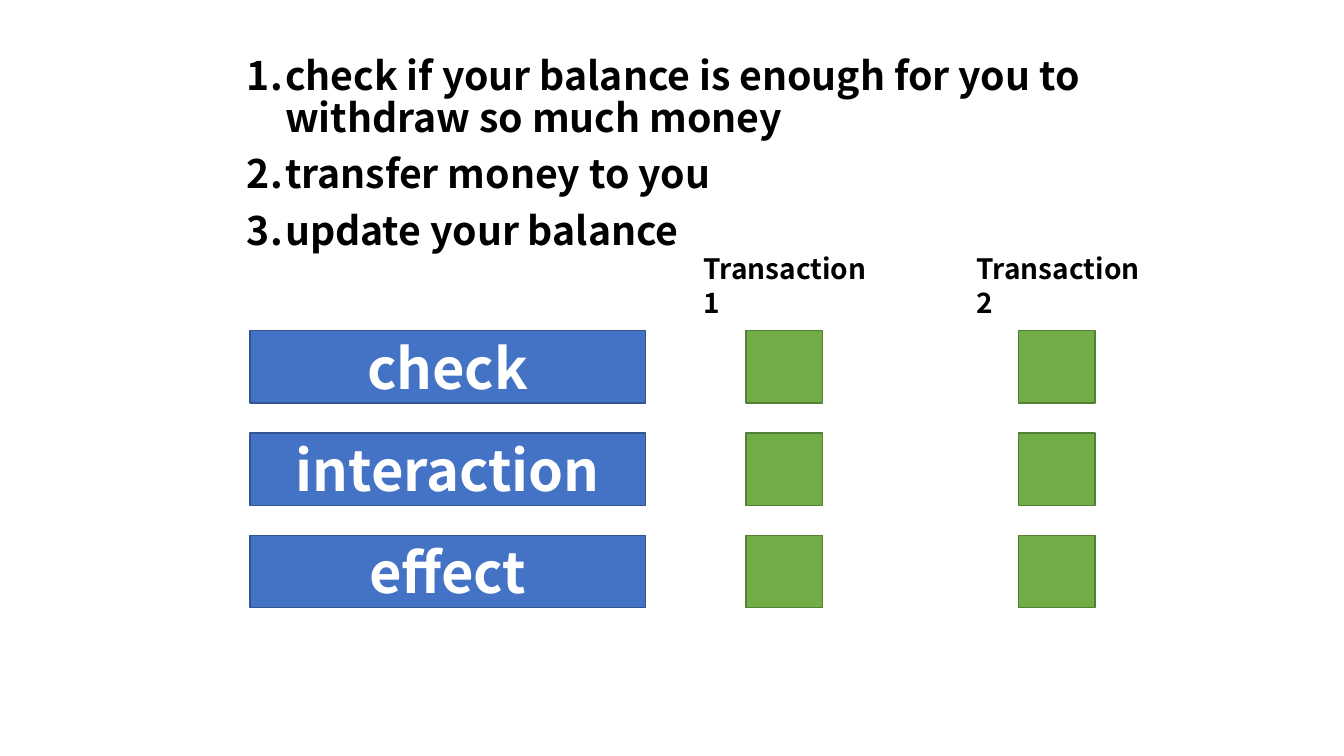
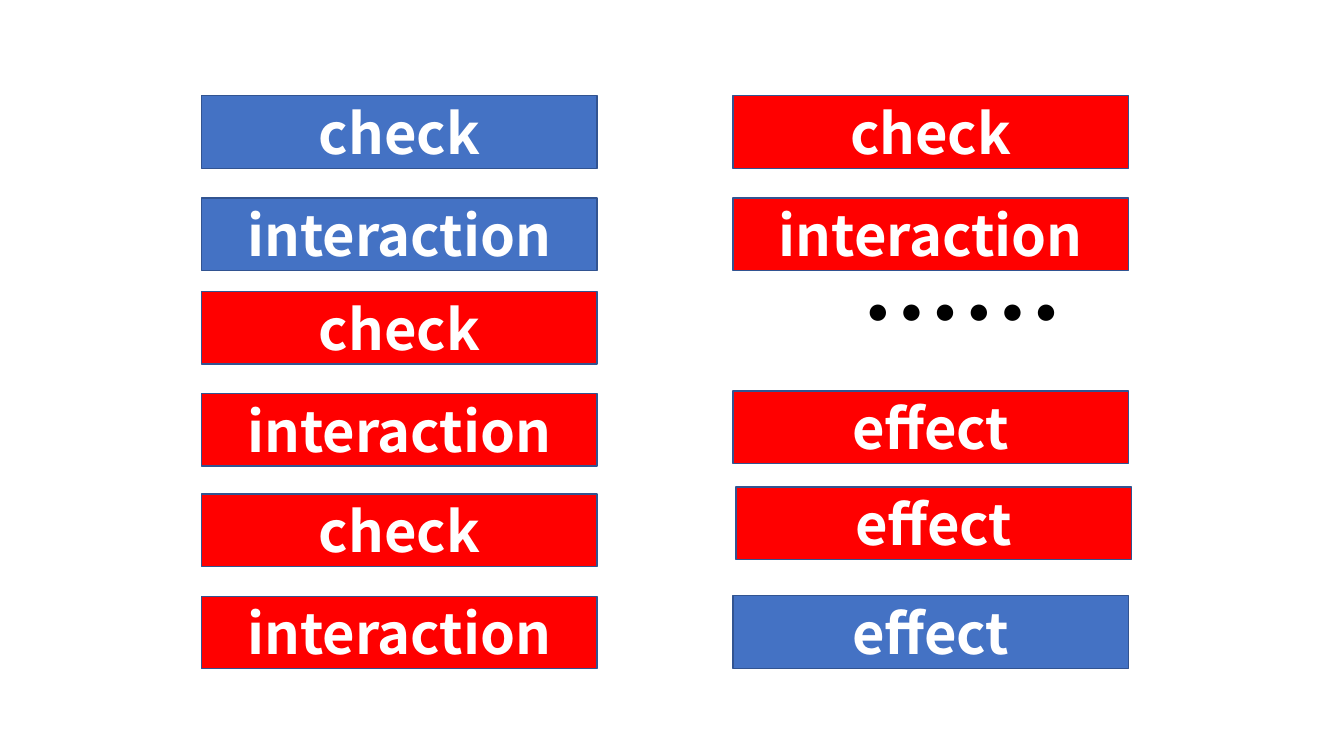
from dataclasses import dataclass
from typing import Any

from lxml.etree import SubElement
from pptx import Presentation
from pptx.dml.color import RGBColor
from pptx.enum.shapes import MSO_SHAPE
from pptx.enum.text import MSO_ANCHOR, MSO_AUTO_SIZE, PP_ALIGN
from pptx.oxml.ns import qn
from pptx.util import Inches, Pt

FONT = "Noto Sans CJK SC"
BLACK, WHITE = "000000", "FFFFFF"
BLUE, RED, NAVY = "4472C4", "FF0000", "325491"
GREEN, DARK_GREEN = "70AD47", "538035"

STEP_WIDTH, SQUARE_WIDTH, ROW_HEIGHT = 3.92, 0.76, 0.72
ROW_PITCH = 1.015
INDENT = 0.38

STEPS = ("check", "interaction", "effect")
RULES = (
    "check if your balance is enough for you to withdraw so much money",
    "transfer money to you",
    "update your balance",
)


@dataclass(frozen=True)
class Box:
    left: float
    top: float
    width: float
    height: float

    def emu(self) -> tuple:
        return tuple(Inches(v) for v in (self.left, self.top, self.width, self.height))


@dataclass(frozen=True)
class Stack:
    left: float
    top: float
    steps: tuple
    fill: str


@dataclass(frozen=True)
class Transaction:
    name: str
    label_left: float
    square_left: float


TRANSACTIONS = (
    Transaction("Transaction 1", 6.88, 7.4),
    Transaction("Transaction 2", 9.59, 10.1),
)

CALL = STEPS[:2]
RETURN = STEPS[2:]
LEFT, RIGHT = 2, 7.27
CALL_STACKS = (
    Stack(LEFT, 0.95, CALL, BLUE),
    Stack(LEFT, 2.89, CALL, RED),
    Stack(LEFT, 4.9, CALL, RED),
    Stack(RIGHT, 0.95, CALL, RED),
    Stack(RIGHT, 3.88, RETURN, RED),
    Stack(7.3, 4.83, RETURN, RED),
    Stack(RIGHT, 5.91, RETURN, BLUE),
)


def rgb(value: str) -> RGBColor:
    return RGBColor.from_string(value)


def write(p: Any, text: str, *, size: float, color: str = BLACK,
          align: PP_ALIGN = PP_ALIGN.LEFT) -> None:
    p.alignment = align
    r = p.add_run()
    r.text = text
    r.font.size = Pt(size)
    r.font.bold = True
    r.font.name = FONT
    r.font.color.rgb = rgb(color)
    SubElement(r.font._element, qn("a:ea"), typeface=FONT)


def add_rect(s: Any, box: Box, fill: str, line: str) -> Any:
    sp = s.shapes.add_shape(MSO_SHAPE.RECTANGLE, *box.emu())
    sp.shadow.inherit = False
    sp.fill.solid()
    sp.fill.fore_color.rgb = rgb(fill)
    sp.line.color.rgb = rgb(line)
    sp.line.width = Pt(1)
    return sp


def add_text_frame(s: Any, box: Box) -> Any:
    tf = s.shapes.add_textbox(*box.emu()).text_frame
    tf.word_wrap = True
    tf.auto_size = MSO_AUTO_SIZE.SHAPE_TO_FIT_TEXT
    return tf


def add_label(s: Any, box: Box, text: str, size: float) -> None:
    write(add_text_frame(s, box).paragraphs[0], text, size=size)


def add_numbered_list(s: Any, box: Box, items: tuple) -> None:
    tf = add_text_frame(s, box)
    for i, item in enumerate(items):
        p = tf.add_paragraph() if i else tf.paragraphs[0]
        pPr = p._p.get_or_add_pPr()
        pPr.set("marL", str(Inches(INDENT)))
        pPr.set("indent", str(-Inches(INDENT)))
        SubElement(pPr, qn("a:buAutoNum"), type="arabicPeriod")
        p.line_spacing = 0.9
        p.space_before = Pt(10 if i else 0)
        write(p, item, size=28)


def add_stack(s: Any, stack: Stack) -> None:
    for row, step in enumerate(stack.steps):
        box = Box(stack.left, stack.top + row * ROW_PITCH, STEP_WIDTH, ROW_HEIGHT)
        tf = add_rect(s, box, stack.fill, NAVY).text_frame
        tf.vertical_anchor = MSO_ANCHOR.MIDDLE
        write(tf.paragraphs[0], step, size=40, color=WHITE, align=PP_ALIGN.CENTER)


def build_transactions(s: Any) -> None:
    add_numbered_list(s, Box(2.35, 0.51, 8.62, 2.08), RULES)
    steps = Stack(2.48, 3.28, STEPS, BLUE)
    add_stack(s, steps)
    for tx in TRANSACTIONS:
        add_label(s, Box(tx.label_left, 2.45, 2, 0.44), tx.name, 20)
        for row in range(len(STEPS)):
            top = steps.top + row * ROW_PITCH
            add_rect(s, Box(tx.square_left, top, SQUARE_WIDTH, ROW_HEIGHT),
                     GREEN, DARK_GREEN)


def build_reentrancy(s: Any) -> None:
    for stack in CALL_STACKS:
        add_stack(s, stack)
    add_label(s, Box(8.45, 2.44, 2.62, 1.31), "……", 72)


def main() -> None:
    prs = Presentation()
    prs.slide_width, prs.slide_height = Inches(13.33), Inches(7.5)
    for build in (build_transactions, build_reentrancy):
        build(prs.slides.add_slide(prs.slide_layouts[6]))
    prs.save("out.pptx")


if __name__ == "__main__":
    main()
